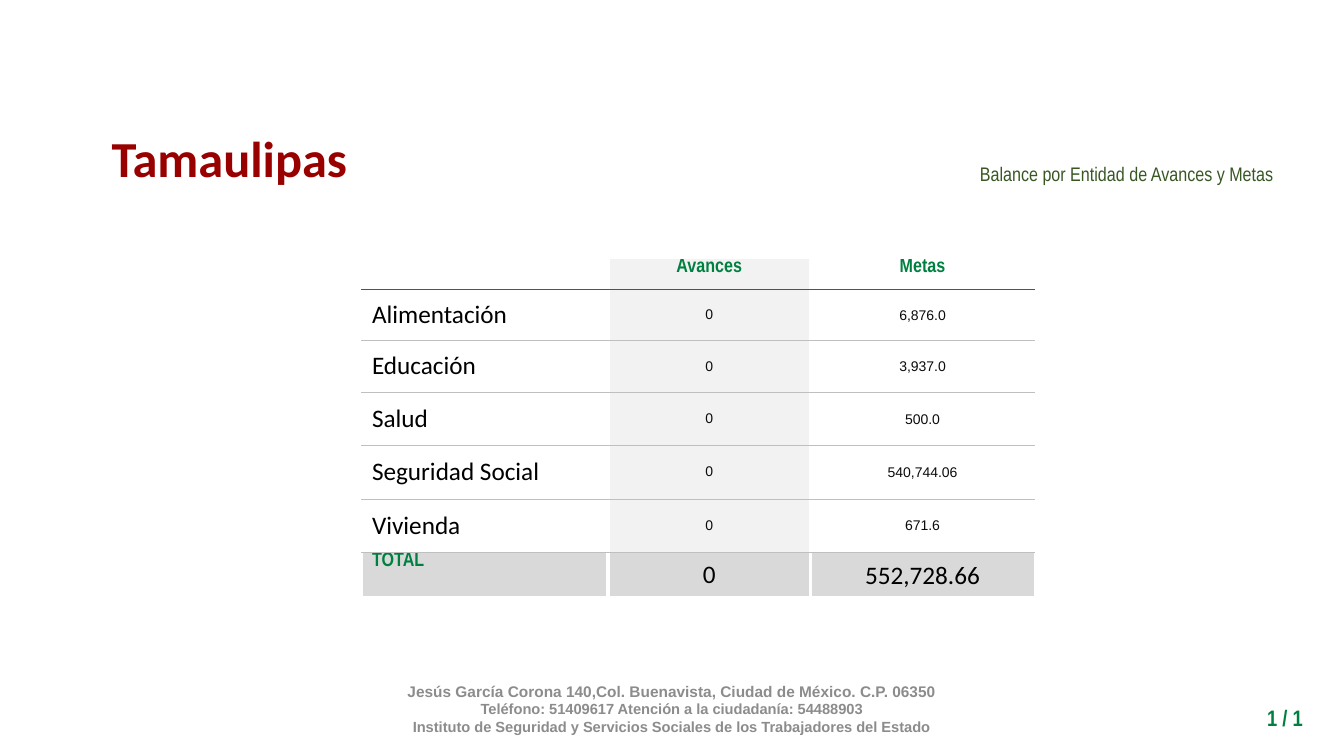
from lxml import etree
from pptx import Presentation
from pptx.dml.color import RGBColor
from pptx.enum.text import MSO_ANCHOR, MSO_AUTO_SIZE, PP_ALIGN
from pptx.oxml.ns import qn
from pptx.util import Inches, Pt

LEFT, CENTER, RIGHT = PP_ALIGN.LEFT, PP_ALIGN.CENTER, PP_ALIGN.RIGHT
TOP, MIDDLE = MSO_ANCHOR.TOP, MSO_ANCHOR.MIDDLE

COLORS = {
    "red": "990000", "green": "008040", "olive": "385723", "black": "000000",
    "ink": "0B0B0B", "footer": "8C8C8C", "rule": "BFBFBF", "white": "FFFFFF",
    "band": "F2F2F2", "total": "D9D9D9",
}


def write(frame, text, size=10, font="Arial", color="ink", bold=False,
          align=CENTER, anchor=MIDDLE, spacing=None):
    """Write each line of text as one formatted paragraph."""
    frame.vertical_anchor = anchor
    for i, line in enumerate(text.split("\n")):
        paragraph = frame.add_paragraph() if i else frame.paragraphs[0]
        paragraph.alignment = align
        paragraph.line_spacing = spacing
        run = paragraph.add_run()
        run.text = line
        run.font.size = Pt(size)
        run.font.name = font
        run.font.bold = bold
        run.font.color.rgb = RGBColor.from_string(COLORS[color])


def add_line(parent, tag, color, width, index):
    """Insert a solid line element, as a cell border or a text outline."""
    line = etree.Element(qn(tag), w=str(Pt(width)))
    fill = etree.SubElement(line, qn("a:solidFill"))
    etree.SubElement(fill, qn("a:srgbClr"), val=COLORS[color])
    parent.insert(index, line)


prs = Presentation()
prs.slide_width, prs.slide_height = Inches(13.33), Inches(7.5)
slide = prs.slides.add_slide(prs.slide_layouts[5])

# State name
state = slide.shapes.title
state.left, state.top = Inches(0.99), Inches(1.21)
state.width, state.height = Inches(2.57), Inches(0.71)
state.text_frame.auto_size = MSO_AUTO_SIZE.NONE
state.text_frame.word_wrap = False
write(state.text_frame, "Tamaulipas", size=36, font="Calibri", color="red",
      bold=True, anchor=TOP)
state_run = state.text_frame.paragraphs[0].runs[0]
add_line(state_run.font._element, "a:ln", "white", 0.75, 0)

# Subtitle, page number and address
address = (
    "Jesús García Corona 140,Col. Buenavista, Ciudad de México. C.P. 06350\n"
    "Teléfono: 51409617 Atención a la ciudadanía: 54488903\n"
    "Instituto de Seguridad y Servicios Sociales de los Trabajadores del Estado"
)
notes = [
    ((6.69, 1.23, 6.04, 0.95), "Balance por Entidad de Avances y Metas",
     dict(size=14, font="Arial Narrow", color="olive", align=RIGHT, spacing=1.15)),
    ((11.76, 6.94, 1.26, 0.37), "1 / 1",
     dict(size=16, font="Arial Narrow", color="green", bold=True, align=RIGHT,
          anchor=TOP)),
    ((2.88, 6.83, 7.57, 0.4), address,
     dict(size=10.5, color="footer", bold=True)),
]
for place, text, style in notes:
    frame = slide.shapes.add_textbox(*map(Inches, place)).text_frame
    frame.word_wrap = True
    write(frame, text, **style)
address_lines = frame.paragraphs
address_lines[0].runs[0].font.size = Pt(11)

# Balance table
balance = [
    ("", "Avances", "Metas"),
    ("Alimentación", "0", "6,876.0"),
    ("Educación", "0", "3,937.0"),
    ("Salud", "0", "500.0"),
    ("Seguridad Social", "0", "540,744.06"),
    ("Vivienda", "0", "671.6"),
    ("TOTAL", "0", "552,728.66"),
]
widths = [2.44, 2.01, 2.22]
heights = [0.31, 0.51, 0.51, 0.53, 0.53, 0.53, 0.45]
last_row, last_col = len(heights) - 1, len(widths) - 1
heading = dict(size=14, font="Arial Narrow", color="green", bold=True, anchor=TOP)
large = dict(size=18, font="Calibri", color="black")

table = slide.shapes.add_table(
    len(heights), len(widths), Inches(3.59), Inches(2.56),
    Inches(sum(widths)), Inches(sum(heights))).table
for column, width in zip(table.columns, widths):
    column.width = Inches(width)
for row, height in zip(table.rows, heights):
    row.height = Inches(height)

for r, values in enumerate(balance):
    for c, value in enumerate(values):
        cell = table.cell(r, c)
        is_heading = r == 0 or (r == last_row and c == 0)
        if is_heading:
            style = heading
        elif r == last_row or c == 0:
            style = large
        else:
            style = {}
        if is_heading:
            cell.margin_top = cell.margin_bottom = 0
        elif c == last_col:
            cell.margin_left = cell.margin_right = cell.margin_top = Inches(0.01)
            cell.margin_bottom = 0
        cell.vertical_anchor = style.get("anchor", MIDDLE)
        if value:
            write(cell.text_frame, value, align=CENTER if c else LEFT, **style)
        else:
            end = cell.text_frame.paragraphs[0]._p.get_or_add_endParaRPr()
            end.set("sz", "1400")

        fill = "total" if r == last_row else "band" if c == 1 else None
        if fill:
            cell.fill.solid()
            cell.fill.fore_color.rgb = RGBColor.from_string(COLORS[fill])
        else:
            cell.fill.background()

        borders = []
        if c > 0:
            borders.append(("a:lnL", "white", 3))
        if c < last_col:
            borders.append(("a:lnR", "white", 3))
        if r > 0:
            borders.append(("a:lnT", "green", 0.25) if r == 1 else ("a:lnT", "rule", 0.5))
        if r == 0:
            borders.append(("a:lnB", "green", 0.25))
        else:
            borders.append(("a:lnB", "white", 3) if r == last_row else ("a:lnB", "rule", 0.5))
        for index, border in enumerate(borders):
            add_line(cell._tc.get_or_add_tcPr(), *border, index)

prs.save("out.pptx")
